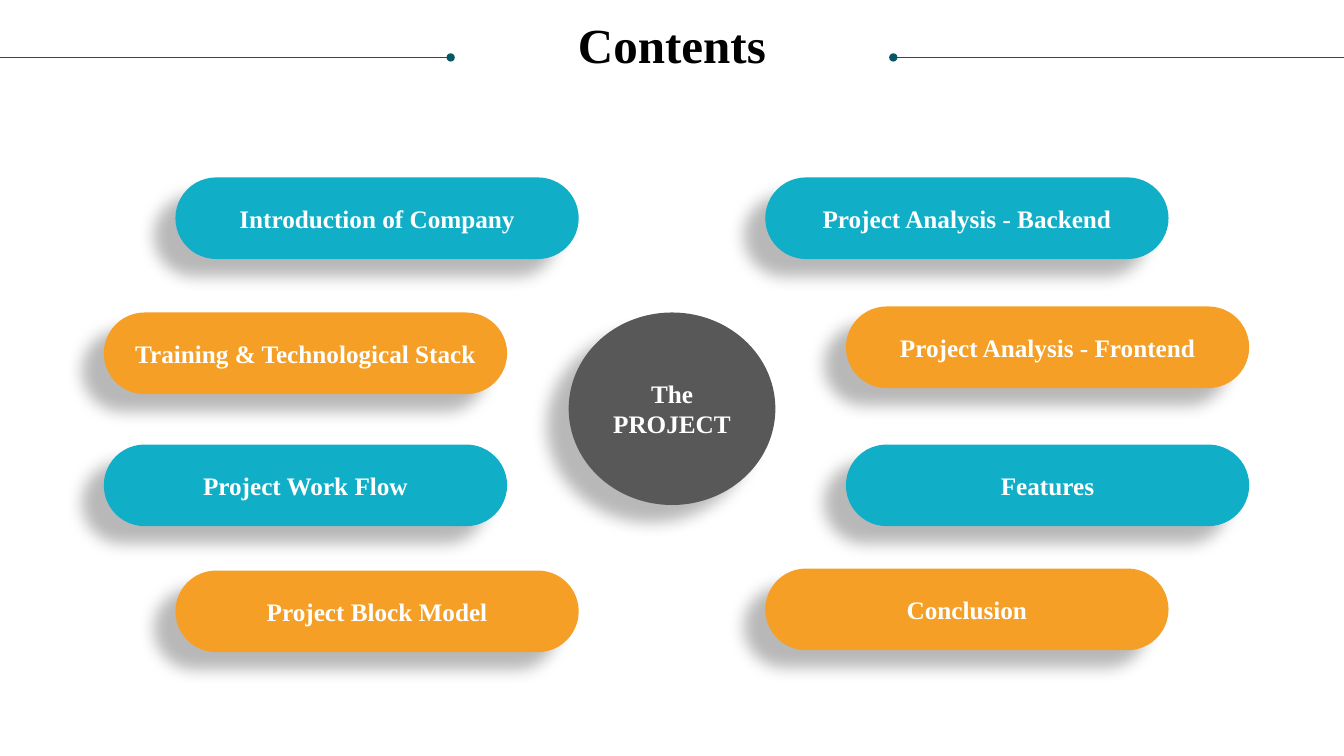
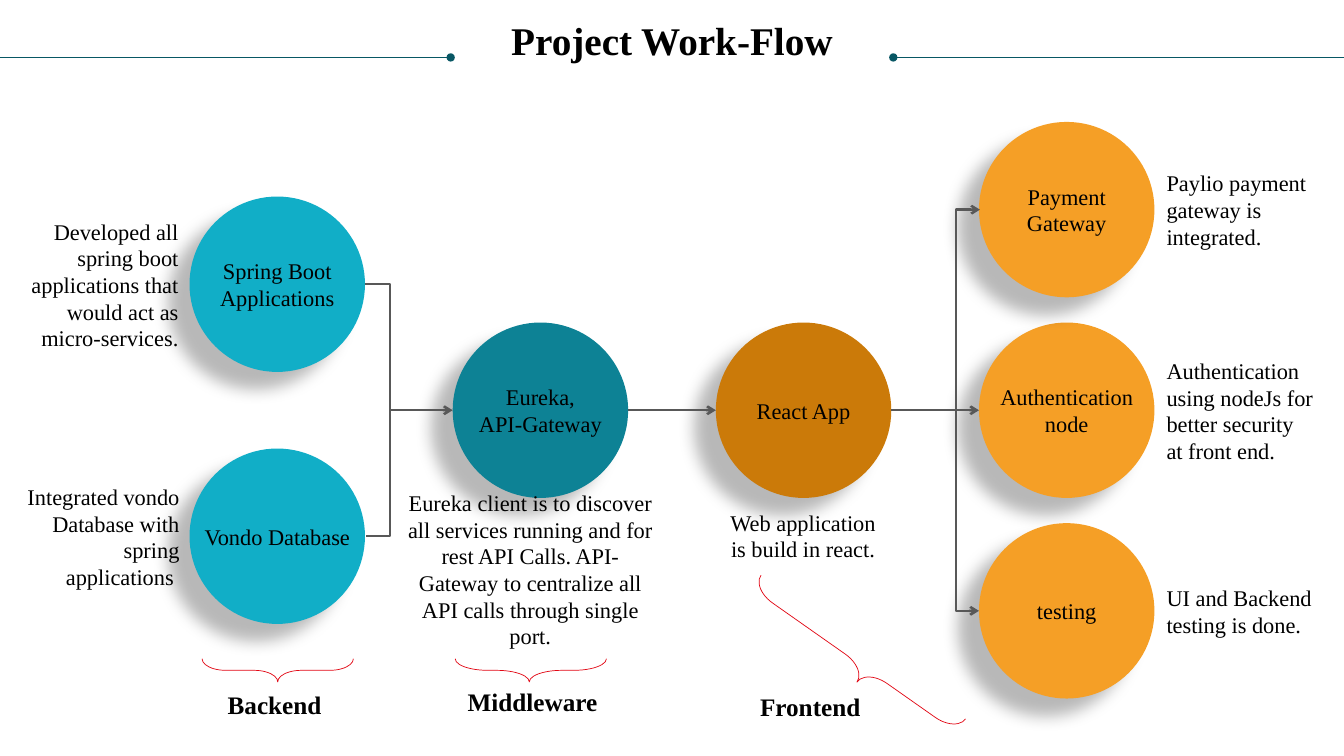
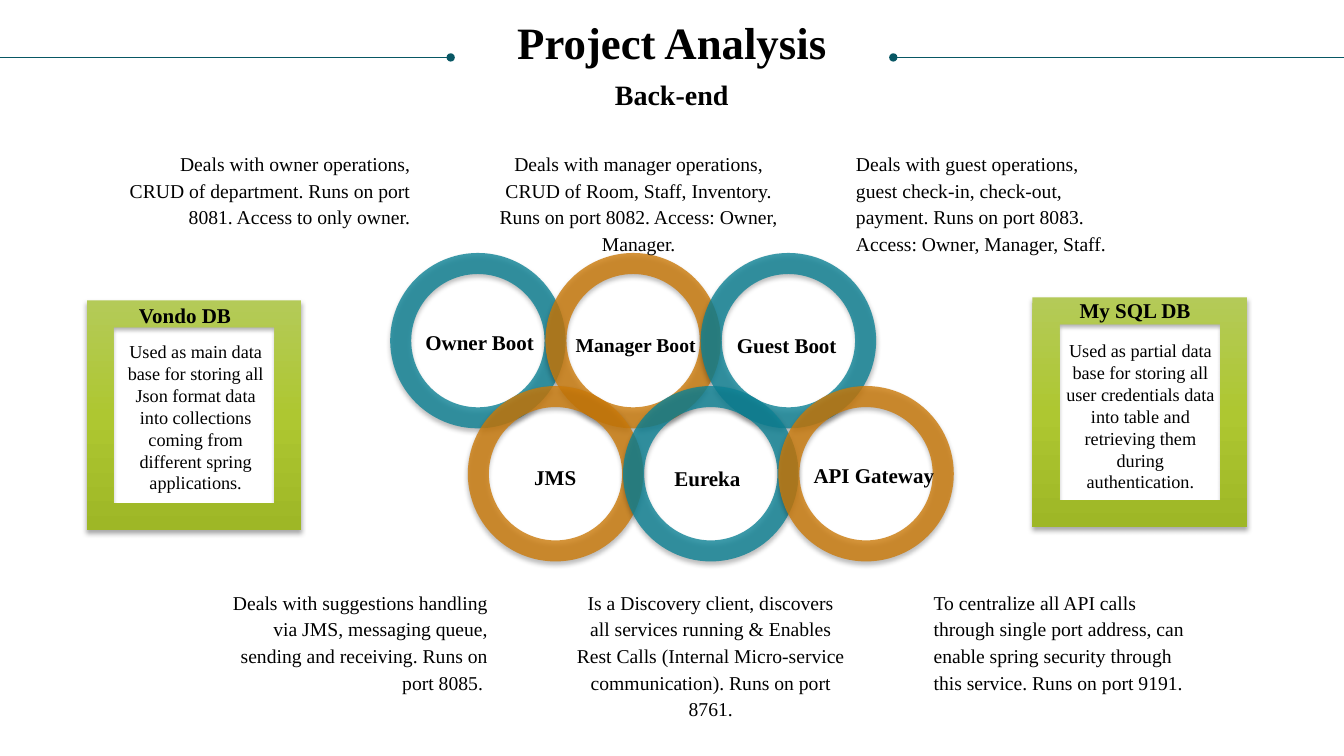
"""Build three project slides: contents, work-flow and back-end analysis."""
from dataclasses import dataclass

from lxml import etree
from pptx import Presentation
from pptx.dml.color import RGBColor
from pptx.enum.shapes import MSO_CONNECTOR, MSO_SHAPE
from pptx.enum.text import MSO_ANCHOR, MSO_AUTO_SIZE, PP_ALIGN
from pptx.oxml.ns import qn
from pptx.util import Pt

PX = 9144
LEFT, MID, RIGHT = PP_ALIGN.LEFT, PP_ALIGN.CENTER, PP_ALIGN.RIGHT
TOP, CORE = MSO_ANCHOR.TOP, MSO_ANCHOR.MIDDLE
GROW = MSO_AUTO_SIZE.SHAPE_TO_FIT_TEXT
LINE, ELBOW = MSO_CONNECTOR.STRAIGHT, MSO_CONNECTOR.ELBOW
OVAL, PILL = MSO_SHAPE.OVAL, MSO_SHAPE.ROUNDED_RECTANGLE
RING, FRAME = MSO_SHAPE.DONUT, MSO_SHAPE.FRAME
OPEN, CLOSE = MSO_SHAPE.LEFT_BRACE, MSO_SHAPE.RIGHT_BRACE


@dataclass(frozen=True)
class Theme:
    font: str = "Times New Roman"
    black: str = "000000"
    white: str = "FFFFFF"
    rule: str = "085764"
    grey: str = "585858"
    cyan: str = "11AEC7"
    teal: str = "0D8295"
    gold: str = "F59F26"
    rust: str = "CB7A09"
    red: str = "E20613"
    green: tuple = ("B4CA58", "AEC731", "9EB726")
    far: tuple = (28, 11.8, 19.7, 141)
    near: tuple = (32, 3.5, 2.2, 90)
    lead: int = 19
    head: int = 18
    sub: int = 20
    node: int = 16
    tag: int = 15
    body: int = 14
    small: int = 13


look = Theme()


def put(slide, kind, box, fill=None, shade=None, words="", size=0, bold=False,
        ink=look.black, align=LEFT, anchor=TOP, lead=None, pad=True, wrap=True):
    """Add a shape, or a text box when kind is None, with its text."""
    area = [n * PX for n in box]
    if kind is None:
        shape = slide.shapes.add_textbox(*area)
    else:
        shape = slide.shapes.add_shape(kind, *area)
        shape.shadow.inherit = False
        shape.line.fill.background()
        shape.fill.background()
    if fill:
        shape.fill.solid()
        shape.fill.fore_color.rgb = RGBColor.from_string(fill)
    if shade:
        alpha, blur, dist, turn = shade
        cast = etree.SubElement(
            shape._element.spPr.find(qn("a:effectLst")), qn("a:outerShdw"),
            blurRad=str(Pt(blur)), dist=str(Pt(dist)), dir=str(turn * 60000),
            algn="ctr", rotWithShape="0")
        tint = etree.SubElement(cast, qn("a:srgbClr"), val=look.black)
        etree.SubElement(tint, qn("a:alpha"), val=str(alpha * 1000))
    if words:
        frame = shape.text_frame
        frame.text = words
        frame.word_wrap = wrap
        frame.vertical_anchor = anchor
        if not wrap:
            frame.auto_size = GROW
        if not pad:
            frame.margin_left = frame.margin_right = 0
            frame.margin_top = frame.margin_bottom = 0
        for para in frame.paragraphs:
            para.alignment = align
            if lead:
                para.line_spacing = lead
            para.font.name = look.font
            para.font.size = Pt(size)
            para.font.bold = bold
            para.font.color.rgb = RGBColor.from_string(ink)
    return shape


def wire(slide, kind, ends, color, width, head=None, tail=None, bend=None):
    """Add a connector with optional end marks and bend."""
    link = slide.shapes.add_connector(kind, *[n * PX for n in ends])
    link.line.color.rgb = RGBColor.from_string(color)
    link.line.width = Pt(width)
    props = link._element.spPr
    for end, mark in (("a:headEnd", head), ("a:tailEnd", tail)):
        if mark:
            etree.SubElement(props.find(qn("a:ln")), qn(end), type=mark)
    etree.SubElement(props, qn("a:effectLst"))
    if bend:
        rules = props.find(qn("a:prstGeom")).get_or_add_avLst()
        etree.SubElement(rules, qn("a:gd"), name="adj1", fmla=f"val {bend * 100000}")


deck = Presentation()
deck.slide_width, deck.slide_height = 1333 * PX, 750 * PX
pages = []
for title, size in (("Contents", 35), ("Project Work-Flow", 28), ("Project Analysis", 32)):
    page = deck.slides.add_slide(deck.slide_layouts[6])
    wire(page, LINE, (886, 57, 1333, 57), look.rule, 0.5, head="oval")
    wire(page, LINE, (0, 57, 447, 57), look.rule, 0.5, tail="oval")
    put(page, None, (25, 21, 1283, 85), words=title, size=size, bold=True,
        align=MID, lead=0.9, pad=False)
    pages.append(page)
agenda, flow, back = pages

put(agenda, OVAL, (564, 310, 205, 191), look.grey, look.far, "The PROJECT",
    look.head, True, look.white, MID, CORE)
topics = (
    (174, 176, look.cyan, "Introduction of Company"),
    (103, 310, look.gold, "Training & Technological Stack"),
    (103, 441, look.cyan, "Project Work Flow"),
    (174, 566, look.gold, "Project Block Model"),
    (759, 176, look.cyan, "Project Analysis - Backend"),
    (839, 304, look.gold, "Project Analysis - Frontend"),
    (839, 441, look.cyan, "Features"),
    (759, 564, look.gold, "Conclusion"),
)
for x, y, fill, words in topics:
    pill = put(agenda, PILL, (x, y, 400, 81), fill, look.far, words,
               look.head, True, look.white, MID, CORE)
    pill.adjustments[0] = 0.5

nodes = (
    (188, 195, look.cyan, "Spring Boot Applications"),
    (188, 445, look.cyan, "Vondo Database"),
    (449, 320, look.teal, "Eureka,\nAPI-Gateway"),
    (710, 320, look.rust, "React App"),
    (971, 320, look.gold, "Authentication node"),
    (971, 121, look.gold, "Payment Gateway"),
    (971, 519, look.gold, "testing"),
)
for x, y, fill, words in nodes:
    put(flow, OVAL, (x, y, 174, 174), fill, look.far)
wire(flow, ELBOW, (362, 282, 363, 532), look.grey, 1.75, bend=25)
for x, end in ((387, 449), (623, 710), (884, 971)):
    wire(flow, LINE, (x, 407, end, 407), look.grey, 1.75, tail="arrow")
wire(flow, ELBOW, (972, 208, 971, 606), look.grey, 1.75, "arrow", "arrow", 24)
for x, y, fill, words in nodes:
    put(flow, None, (x + 12, y + 60, 150, 54), words=words, size=look.node,
        align=MID, anchor=CORE, pad=False)

notes = (
    ((723, 505, 147, 53), MID, "Web application is build in react."),
    ((403, 485, 246, 160), MID, "Eureka client is to discover all services running and for "
     "rest API Calls. API- Gateway to centralize all API calls through single port."),
    ((1157, 168, 147, 80), LEFT, "Paylio payment gateway is integrated."),
    ((1157, 354, 147, 107), LEFT,
     "Authentication using nodeJs for better security at front end."),
    ((1157, 580, 147, 53), LEFT, "UI and Backend testing is done."),
    ((25, 216, 152, 133), RIGHT,
     "Developed all spring boot applications that would act as micro-services."),
    ((16, 479, 162, 107), RIGHT, "Integrated vondo Database with spring applications "),
)
for box, align, words in notes:
    put(flow, None, box, words=words, size=look.node, align=align,
        anchor=CORE, lead=Pt(look.lead), pad=False)

tiers = (
    (OPEN, (264, 590, 23, 150), 270, (1.02, 0.5), (216, 679, 164, 40), "Backend"),
    (OPEN, (515, 590, 23, 150), 270, (1.41, 0.49), (454, 676, 164, 40), "Middleware"),
    (CLOSE, (831, 531, 32, 248), 125.1, (0.79, 0.44), (744, 681, 133, 40), "Frontend"),
)
for kind, box, turn, curve, spot, words in tiers:
    brace = put(flow, kind, box)
    brace.rotation = turn
    brace.adjustments[0], brace.adjustments[1] = curve
    brace.line.color.rgb = RGBColor.from_string(look.red)
    brace.line.width = Pt(0.5)
    put(flow, None, spot, words=words, size=look.head, bold=True)

for row, (left, top) in enumerate(((387, 251), (464, 383))):
    for col in range(3):
        fill = (look.teal, look.rust)[(row + col) % 2]
        ring = put(back, RING, (left + 154 * col, top, 174, 174), fill, look.near)
        ring.adjustments[0] = 0.12
        tint = ring._element.spPr.find(qn("a:solidFill"))[0]
        etree.SubElement(tint, qn("a:alpha"), val="80000")

duties = (
    ((128, 148, 279, 80), RIGHT, "Deals with owner operations, CRUD of department. "
     "Runs on port 8081. Access to only owner."),
    ((495, 148, 277, 107), MID, "Deals with manager operations, CRUD of Room, Staff, "
     "Inventory.\nRuns on port 8082. Access: Owner, Manager."),
    ((849, 148, 266, 107), LEFT, "Deals with guest operations, guest check-in, check-out, "
     "payment. Runs on port 8083. Access: Owner, Manager, Staff."),
    ((218, 583, 266, 107), RIGHT, "Deals with suggestions handling via JMS, messaging queue, "
     "sending and receiving. Runs on port 8085. "),
    ((572, 583, 266, 133), MID, "Is a Discovery client, discovers all services running & "
     "Enables Rest Calls (Internal Micro-service communication). Runs on port 8761."),
    ((926, 583, 266, 107), LEFT, "To centralize all API calls through single port address, "
     "can enable spring security through this service. Runs on port 9191."),
)
for box, align, words in duties:
    put(back, None, box, words=words, size=look.body, align=align,
        lead=Pt(look.lead), pad=False)

stores = (
    ((1024, 295, 213, 228), (1047, 332, 168, 163), "Used as partial data base for storing "
     "all user credentials data into table and retrieving them during authentication."),
    ((86, 298, 213, 228), (110, 333, 168, 163), "Used as main data base for storing all "
     "Json format data into collections coming from different spring applications."),
)
for box, spot, words in stores:
    store = put(back, FRAME, box, look.green[0], look.near)
    props = store._element.spPr
    blend = etree.Element(qn("a:gradFill"), rotWithShape="1")
    stops = etree.SubElement(blend, qn("a:gsLst"))
    for step, color in enumerate(look.green):
        stop = etree.SubElement(stops, qn("a:gs"), pos=str(step * 50000))
        etree.SubElement(stop, qn("a:srgbClr"), val=color)
    etree.SubElement(blend, qn("a:lin"), ang="5400000", scaled="0")
    props.replace(props.find(qn("a:solidFill")), blend)
    put(back, None, spot, words=words, size=look.small, align=MID)

tags = (
    ((600, 72, 134, 44), look.sub, "Back-end"),
    ((412, 322, 129, 35), look.tag, "Owner Boot"),
    ((561, 325, 140, 34), look.body, "Manager Boot"),
    ((721, 325, 120, 35), look.tag, "Guest Boot"),
    ((520, 456, 62, 35), look.tag, "JMS"),
    ((659, 457, 92, 35), look.tag, "Eureka"),
    ((797, 454, 141, 35), look.tag, "API Gateway"),
    ((128, 295, 118, 35), look.tag, "Vondo DB"),
    ((1061, 290, 131, 35), look.tag, "My SQL DB"),
)
for box, size, words in tags:
    put(back, None, box, words=words, size=size, bold=True, wrap=False)

deck.save("out.pptx")
